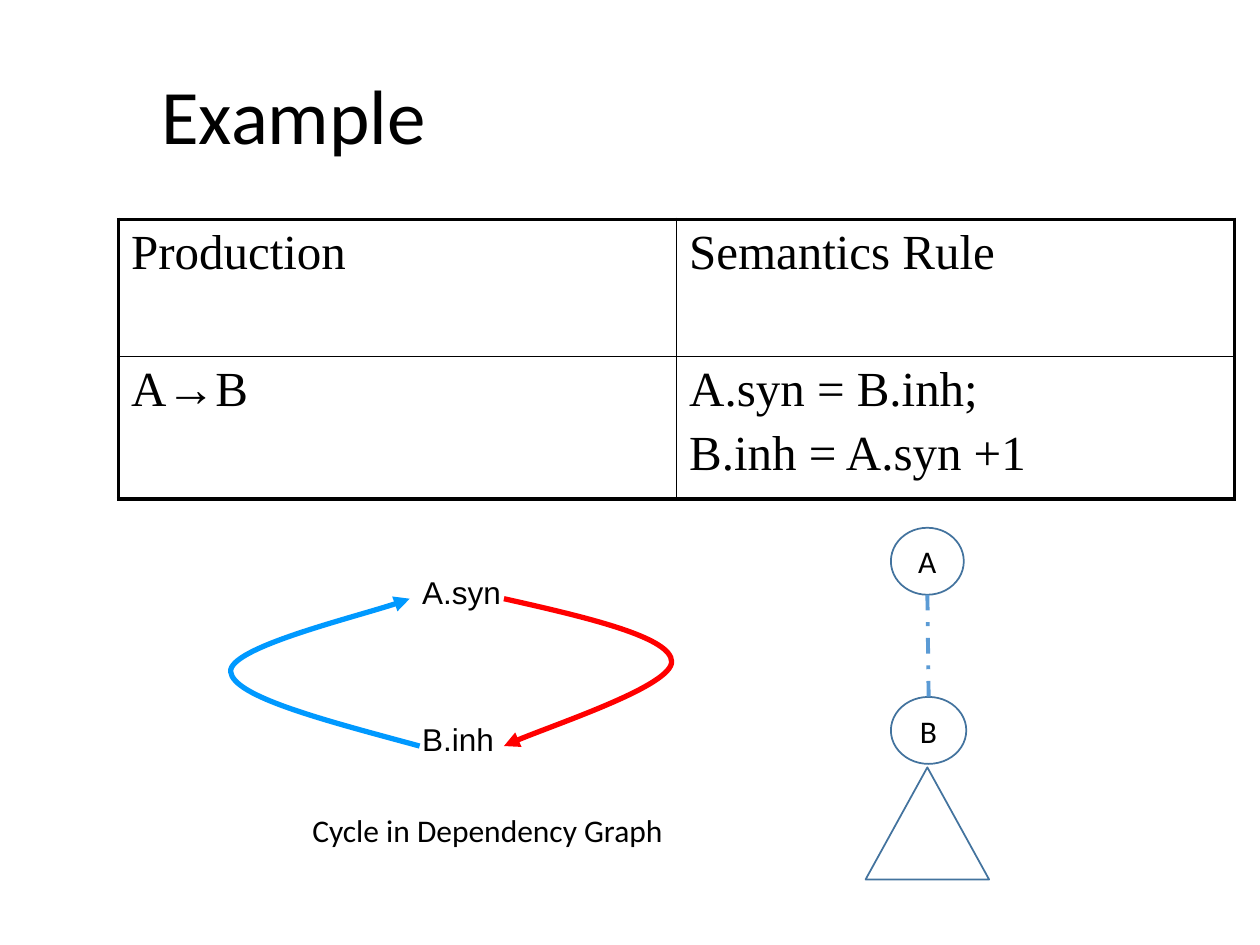
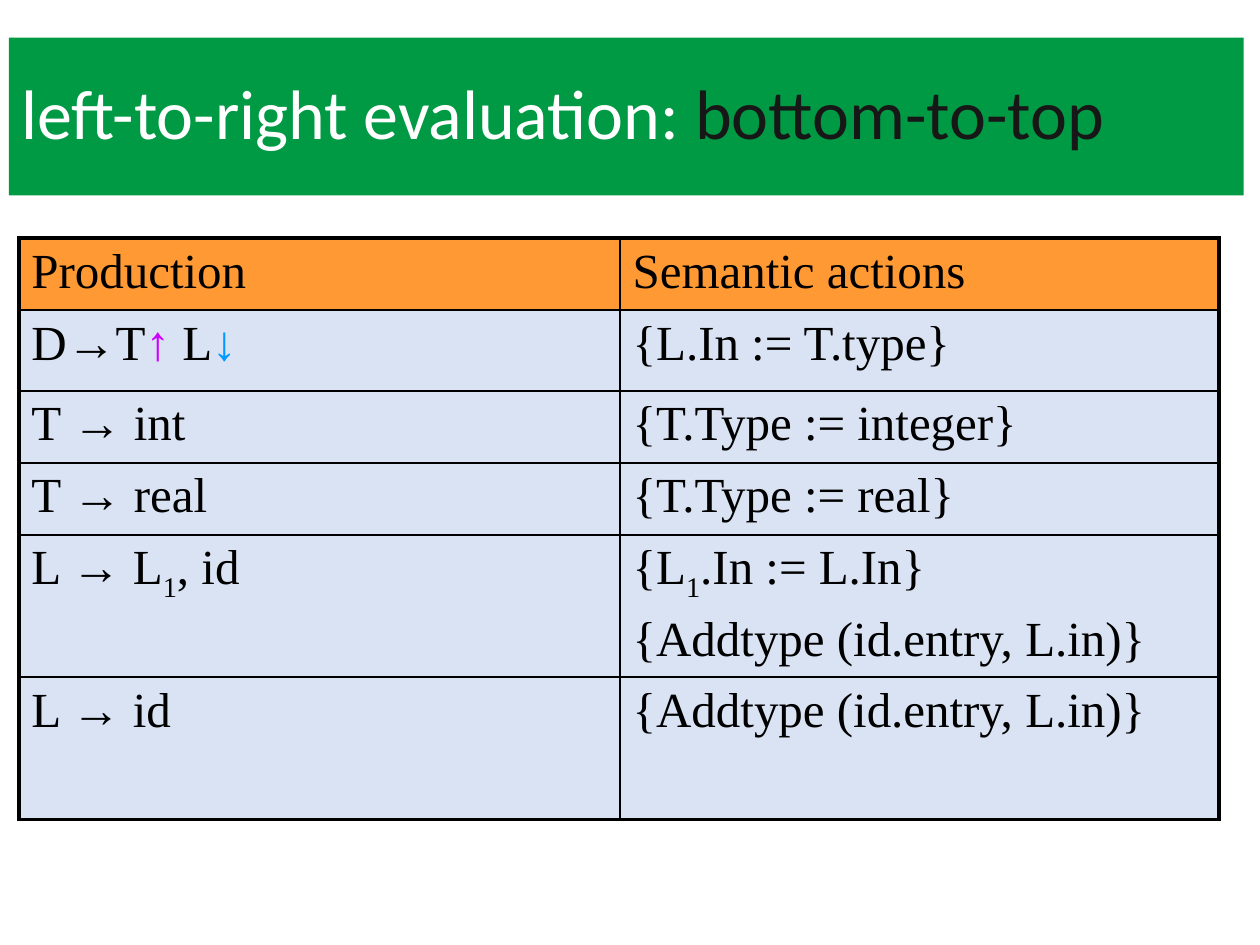
from dataclasses import dataclass
from typing import NamedTuple

from pptx import Presentation
from pptx import util as u
from pptx.dml.color import RGBColor
from pptx.enum import dml, shapes, text
from pptx.oxml import ns
from lxml import etree


@dataclass(frozen=True)
class Theme:
    black: str = "000000"
    white: str = "FFFFFF"
    band: str = "009A44"
    band_accent: str = "181717"
    header: str = "FF9933"
    body: str = "DAE3F3"
    inherited: str = "0099FF"
    synthesized: str = "CC00FF"
    cycle: str = "FF0000"
    outline: str = "43739E"
    edge: str = "5B9BD5"
    sans: str = "Calibri"
    serif: str = "Times New Roman"
    label: str = "Arial"
    title_size: int = 44
    band_title_size: int = 40
    table_size: int = 28
    label_size: int = 18
    thin: float = 1
    thick: float = 2.25
    arrow: float = 3


THEME = Theme()


class Run(NamedTuple):
    text: str
    color: str = THEME.black
    subscript: bool = False


class Frame(NamedTuple):
    """Left, top, width and height in centimetres."""
    left: float
    top: float
    width: float
    height: float

    def lengths(self) -> list:
        return [u.Cm(value) for value in self]


class Node(NamedTuple):
    kind: shapes.MSO_SHAPE
    frame: Frame
    text: str
    outline: str


class Arrow(NamedTuple):
    """A start point followed by three points for each cubic curve."""
    color: str
    points: list


Line = list[Run]
Cell = list[Line]


# Shared helpers
def rgb(color: str) -> RGBColor:
    return RGBColor.from_string(color)


def add_element(parent, tag: str, **attributes: str):
    return etree.SubElement(parent, ns.qn(tag), attributes)


def add_runs(paragraph, runs: Line, font: str, size: float) -> None:
    for item in runs:
        run = paragraph.add_run()
        run.text = item.text
        run.font.name = font
        run.font.size = u.Pt(size)
        run.font.color.rgb = rgb(item.color)
        if item.subscript:
            run.font._element.set("baseline", "-25000")


def space_before(paragraph, percent: int) -> None:
    spacing = add_element(paragraph._p.get_or_add_pPr(), "a:spcBef")
    add_element(spacing, "a:spcPct", val=str(percent * 1000))


def set_line(line, color: str, width: float) -> None:
    line.color.rgb = rgb(color)
    line.width = u.Pt(width)


def add_title_slide(presentation, frame: Frame, runs: Line, size: float):
    slide = presentation.slides.add_slide(presentation.slide_layouts[5])
    title = slide.shapes.title
    title.left, title.top, title.width, title.height = frame.lengths()
    title.text_frame.auto_size = text.MSO_AUTO_SIZE.NONE
    title.text_frame.vertical_anchor = text.MSO_ANCHOR.MIDDLE
    paragraph = title.text_frame.paragraphs[0]
    paragraph.alignment = text.PP_ALIGN.LEFT
    paragraph.line_spacing = 0.9
    add_runs(paragraph, runs, THEME.sans, size)
    return slide


# Rule tables: thick frame, thin inner lines
def set_borders(cell, outer: dict[str, bool]) -> None:
    properties = cell._tc.get_or_add_tcPr()
    for side, is_outer in outer.items():
        width = u.Pt(THEME.thick if is_outer else THEME.thin)
        border = add_element(properties, f"a:ln{side}", w=str(width))
        fill = add_element(border, "a:solidFill")
        add_element(fill, "a:srgbClr", val=THEME.black)


def add_rule_table(slide, left: float, top: float, widths: list[float],
                   heights: list[float], rows: list[list[Cell]],
                   fills: list[str] | None = None) -> None:
    frame = Frame(left, top, sum(widths), sum(heights))
    table = slide.shapes.add_table(len(rows), len(widths), *frame.lengths()).table
    table.first_row = table.horz_banding = False
    for column, width in zip(table.columns, widths):
        column.width = u.Cm(width)
    for row_index, (height, cells) in enumerate(zip(heights, rows)):
        table.rows[row_index].height = u.Cm(height)
        for column_index, lines in enumerate(cells):
            cell = table.cell(row_index, column_index)
            set_borders(cell, {
                "L": column_index == 0, "R": column_index == len(widths) - 1,
                "T": row_index == 0, "B": row_index == len(rows) - 1})
            if fills:
                cell.fill.solid()
                cell.fill.fore_color.rgb = rgb(fills[row_index])
            else:
                cell.fill.background()
            for index, runs in enumerate(lines):
                text_frame = cell.text_frame
                paragraph = text_frame.add_paragraph() if index else text_frame.paragraphs[0]
                space_before(paragraph, 20)
                add_runs(paragraph, runs, THEME.serif, THEME.table_size)


def plain(*lines: str) -> Cell:
    return [[Run(line)] for line in lines]


# Dependency graph parts
def add_label(slide, frame: Frame, label: str) -> None:
    text_frame = slide.shapes.add_textbox(*frame.lengths()).text_frame
    text_frame.word_wrap = True
    text_frame.auto_size = text.MSO_AUTO_SIZE.SHAPE_TO_FIT_TEXT
    space_before(text_frame.paragraphs[0], 50)
    add_runs(text_frame.paragraphs[0], [Run(label)], THEME.label, THEME.label_size)


def add_node(slide, node: Node):
    shape = slide.shapes.add_shape(node.kind, *node.frame.lengths())
    shape.shadow.inherit = False
    shape.fill.solid()
    shape.fill.fore_color.rgb = rgb(THEME.white)
    set_line(shape.line, node.outline, THEME.thin)
    if node.text:
        shape.text_frame.vertical_anchor = text.MSO_ANCHOR.MIDDLE
        paragraph = shape.text_frame.paragraphs[0]
        paragraph.alignment = text.PP_ALIGN.CENTER
        add_runs(paragraph, [Run(node.text)], THEME.sans, THEME.label_size)
    return shape


def add_curved_arrow(slide, arrow: Arrow) -> None:
    start, *others = [(u.Cm(x), u.Cm(y)) for x, y in arrow.points]
    builder = slide.shapes.build_freeform(*start)
    builder.add_line_segments(others, close=False)
    shape = builder.convert_to_shape()
    # Join every three straight segments into one cubic curve
    segments = list(shape._element.iter(ns.qn("a:lnTo")))
    for index in range(0, len(segments), 3):
        curve = etree.Element(ns.qn("a:cubicBezTo"))
        segments[index].addprevious(curve)
        for segment in segments[index:index + 3]:
            curve.append(segment[0])
            segment.getparent().remove(segment)
    shape.shadow.inherit = False
    shape.fill.background()
    set_line(shape.line, arrow.color, THEME.arrow)
    add_element(shape.line._get_or_add_ln(), "a:tailEnd", type="triangle")


# Slide 1: circular dependency
def build_example(presentation) -> None:
    slide = add_title_slide(presentation, Frame(3, 0.81, 21.46, 3.18),
                            [Run("Example")], THEME.title_size)
    add_rule_table(slide, 2.39, 4.42, [11.25, 11.25], [2.77, 2.87], [
        [plain("Production"), plain("Semantics Rule")],
        [plain("A→B"), plain("A.syn = B.inh;", "B.inh = A.syn +1")],
    ])

    for label, top in (("A.syn", 11.43), ("B.inh", 14.4)):
        add_label(slide, Frame(8.26, top, 3.81, 1.02), label)
    for arrow in (
        Arrow(THEME.inherited, [
            (8.46, 15.04), (6.58, 14.53), (4.7, 14.05), (4.65, 13.54),
            (4.62, 13.06), (7.65, 12.32), (8.26, 12.07)]),
        Arrow(THEME.cycle, [
            (10.16, 12.07), (11.86, 12.45), (13.54, 12.85), (13.54, 13.34),
            (13.54, 13.82), (10.72, 14.76), (10.16, 15.04)]),
    ):
        add_curved_arrow(slide, arrow)

    kinds = shapes.MSO_SHAPE
    caption = Node(kinds.RECTANGLE, Frame(5.74, 15.47, 8.18, 2.54),
                   "Cycle in Dependency Graph", THEME.white)
    parent = Node(kinds.OVAL, Frame(17.96, 10.64, 1.47, 1.35), "A", THEME.outline)
    child = Node(kinds.OVAL, Frame(17.96, 14.05, 1.52, 1.35), "B", THEME.outline)
    subtree = Node(kinds.ISOSCELES_TRIANGLE, Frame(17.45, 15.47, 2.49, 2.26),
                   "", THEME.outline)
    _, parent_shape, child_shape, _ = [
        add_node(slide, node) for node in (caption, parent, child, subtree)]

    edge = slide.shapes.add_connector(
        shapes.MSO_CONNECTOR.STRAIGHT,
        parent_shape.left + parent_shape.width // 2,
        parent_shape.top + parent_shape.height,
        child_shape.left + child_shape.width // 2, child_shape.top)
    edge.end_connect(child_shape, 0)
    set_line(edge.line, THEME.edge, THEME.thick)
    edge.line.dash_style = dml.MSO_LINE.DASH_DOT
    add_element(edge._element.spPr, "a:effectLst")


# Slide 2: evaluation order
def build_evaluation(presentation) -> None:
    slide = add_title_slide(
        presentation, Frame(0.18, 0.76, 24.89, 3.18),
        [Run("left-to-right evaluation: ", THEME.white),
         Run("bottom-to-top", THEME.band_accent)], THEME.band_title_size)
    band = slide.shapes.title.fill
    band.solid()
    band.fore_color.rgb = rgb(THEME.band)

    index = Run("1", subscript=True)
    add_type = "{Addtype (id.entry, L.in)}"
    rows = [
        [plain("Production"), plain("Semantic actions")],
        [[[Run("D→T"), Run("↑", THEME.synthesized), Run(" L"),
           Run("↓", THEME.inherited)]], plain("{L.In := T.type}")],
        [plain("T → int"), plain("{T.Type := integer}")],
        [plain("T → real"), plain("{T.Type := real}")],
        [[[Run("L → L"), index, Run(", id")]],
         [[Run("{L"), index, Run(".In := L.In}")], [Run(add_type)]]],
        [plain("L → id"), plain(add_type)],
    ]
    add_rule_table(slide, 0.38, 4.8, [12.12, 12.07],
                   [1.45, 1.63, 1.45, 1.45, 2.87, 2.87], rows,
                   [THEME.header] + [THEME.body] * (len(rows) - 1))


def main() -> None:
    presentation = Presentation()
    presentation.slide_width = u.Cm(25.4)
    presentation.slide_height = u.Cm(19.05)
    build_example(presentation)
    build_evaluation(presentation)
    presentation.save("out.pptx")


if __name__ == "__main__":
    main()
